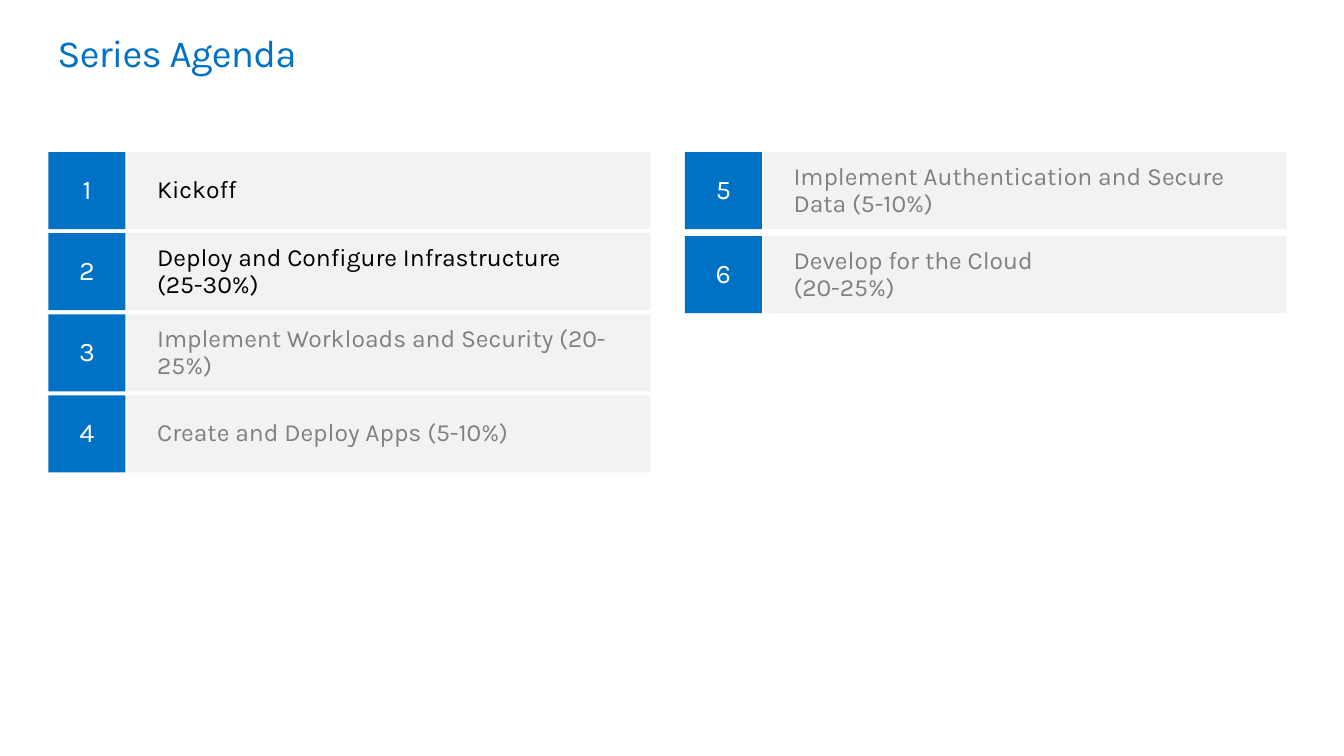
from pptx import Presentation
from pptx.dml.color import RGBColor
from pptx.enum.shapes import MSO_SHAPE
from pptx.enum.text import MSO_ANCHOR, MSO_AUTO_SIZE, PP_ALIGN
from pptx.util import Inches, Pt

RECTANGLE = MSO_SHAPE.RECTANGLE
TOP, MIDDLE = MSO_ANCHOR.TOP, MSO_ANCHOR.MIDDLE
LEFT, CENTER = PP_ALIGN.LEFT, PP_ALIGN.CENTER
NO_AUTOFIT = MSO_AUTO_SIZE.NONE
TITLE_ONLY_LAYOUT = 5

FONT = "Karla"
BLUE, LIGHT_GRAY, WHITE = "0072C6", "F2F2F2", "FFFFFF"
CURRENT, UPCOMING = "000000", "808080"

ROW_HEIGHT = 0.78
TOPIC_OFFSET = 0.8

LEFT_TOPICS = [
    ("Kickoff", CURRENT),
    ("Deploy and Configure Infrastructure\n(25-30%)", CURRENT),
    ("Implement Workloads and Security (20-25%)", UPCOMING),
    ("Create and Deploy Apps (5-10%)", UPCOMING),
]
RIGHT_TOPICS = [
    ("Implement Authentication and Secure Data (5-10%)", UPCOMING),
    ("Develop for the Cloud\n(20-25%)", UPCOMING),
]


def color(hex_string):
    return RGBColor.from_string(hex_string)


def write_text(shape, text, size, text_color, alignment, anchor, margins):
    """Fill a shape with text; margins are left, top, right, bottom in inches."""
    frame = shape.text_frame
    frame.text = text
    frame.word_wrap = True
    frame.auto_size = NO_AUTOFIT
    frame.vertical_anchor = anchor
    (frame.margin_left, frame.margin_top,
     frame.margin_right, frame.margin_bottom) = map(Inches, margins)
    for paragraph in frame.paragraphs:
        paragraph.alignment = alignment
        paragraph.line_spacing = 0.9
        for run in paragraph.runs:
            run.font.name = FONT
            run.font.size = Pt(size)
            run.font.color.rgb = color(text_color)


def add_title(slide, text, left, top, width, height):
    title = slide.shapes.title
    title.left, title.top = Inches(left), Inches(top)
    title.width, title.height = Inches(width), Inches(height)
    write_text(title, text, 28, BLUE, LEFT, TOP, (0, 0.1, 0.16, 0.1))
    for run in title.text_frame.paragraphs[0].runs:
        run._r.get_or_add_rPr().set("spc", "-50")


def add_block(shapes, left, top, width, fill_color):
    block = shapes.add_shape(RECTANGLE, Inches(left), Inches(top),
                             Inches(width), Inches(ROW_HEIGHT))
    block.shadow.inherit = False
    block.fill.solid()
    block.fill.fore_color.rgb = color(fill_color)
    block.line.fill.background()
    return block


def add_agenda_row(slide, number, topic, topic_color, left, top, width):
    shapes = slide.shapes.add_group_shape().shapes
    number_block = add_block(shapes, left, top, ROW_HEIGHT, BLUE)
    write_text(number_block, str(number), 19.6, WHITE, CENTER, MIDDLE,
               (0.2, 0.16, 0.2, 0.16))
    topic_block = add_block(shapes, left + TOPIC_OFFSET, top,
                            width - TOPIC_OFFSET, LIGHT_GRAY)
    write_text(topic_block, topic, 18, topic_color, LEFT, MIDDLE,
               (0.3, 0.1, 0.3, 0.1))


def add_agenda_column(slide, topics, first_number, left, top, width, pitch):
    """Stack numbered topics; pitch is the distance between row tops."""
    for index, (topic, topic_color) in enumerate(topics):
        add_agenda_row(slide, first_number + index, topic, topic_color,
                       left, top + index * pitch, width)


def main():
    presentation = Presentation()
    presentation.slide_width = Inches(13.6)
    presentation.slide_height = Inches(7.65)
    layout = presentation.slide_layouts[TITLE_ONLY_LAYOUT]
    slide = presentation.slides.add_slide(layout)
    add_title(slide, "Series Agenda", 0.58, 0.25, 12.44, 0.83)
    add_agenda_column(slide, LEFT_TOPICS, 1, 0.49, 1.54, 6.09, 0.82)
    add_agenda_column(slide, RIGHT_TOPICS, len(LEFT_TOPICS) + 1,
                      6.93, 1.54, 6.09, 0.85)
    presentation.save("out.pptx")


if __name__ == "__main__":
    main()
